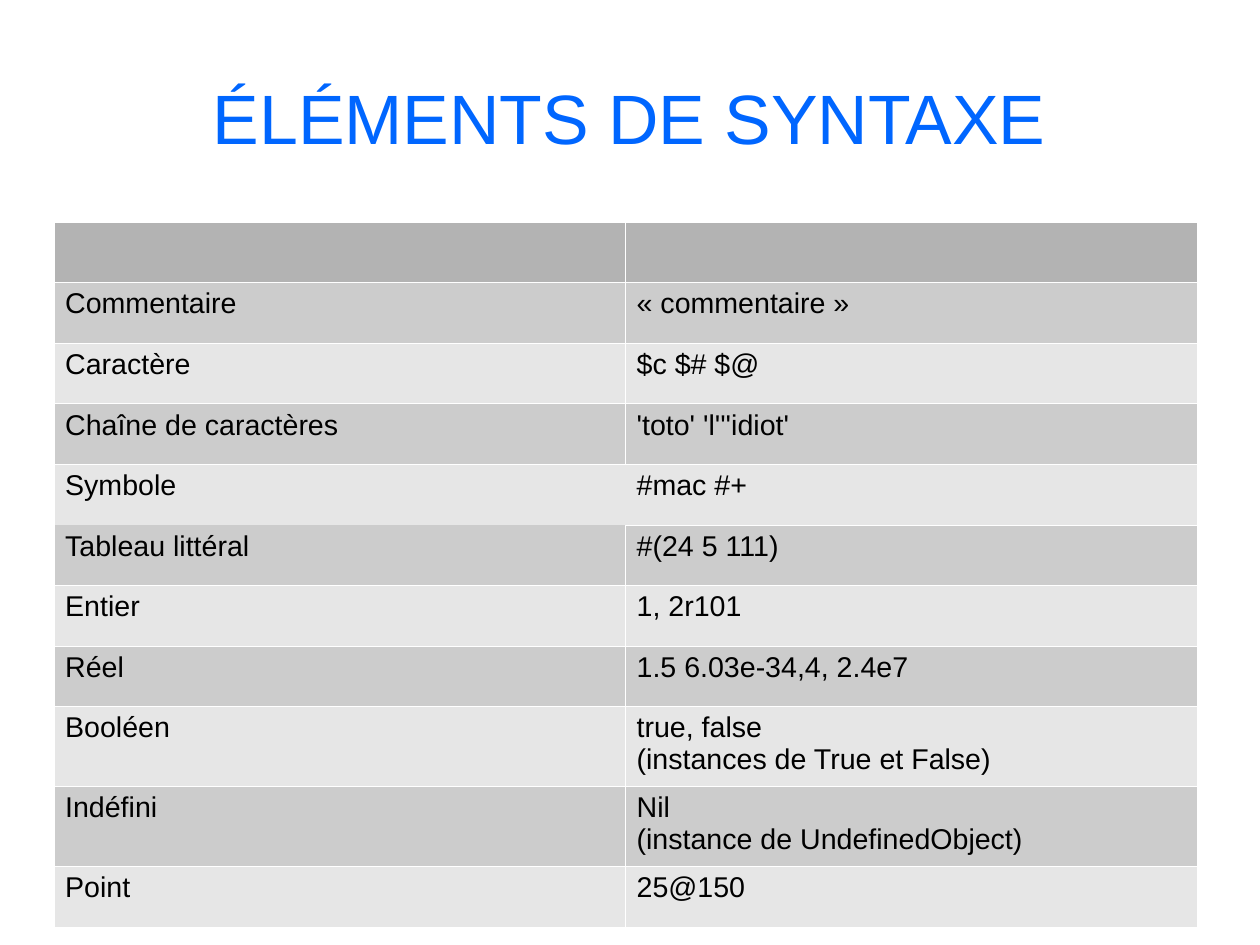
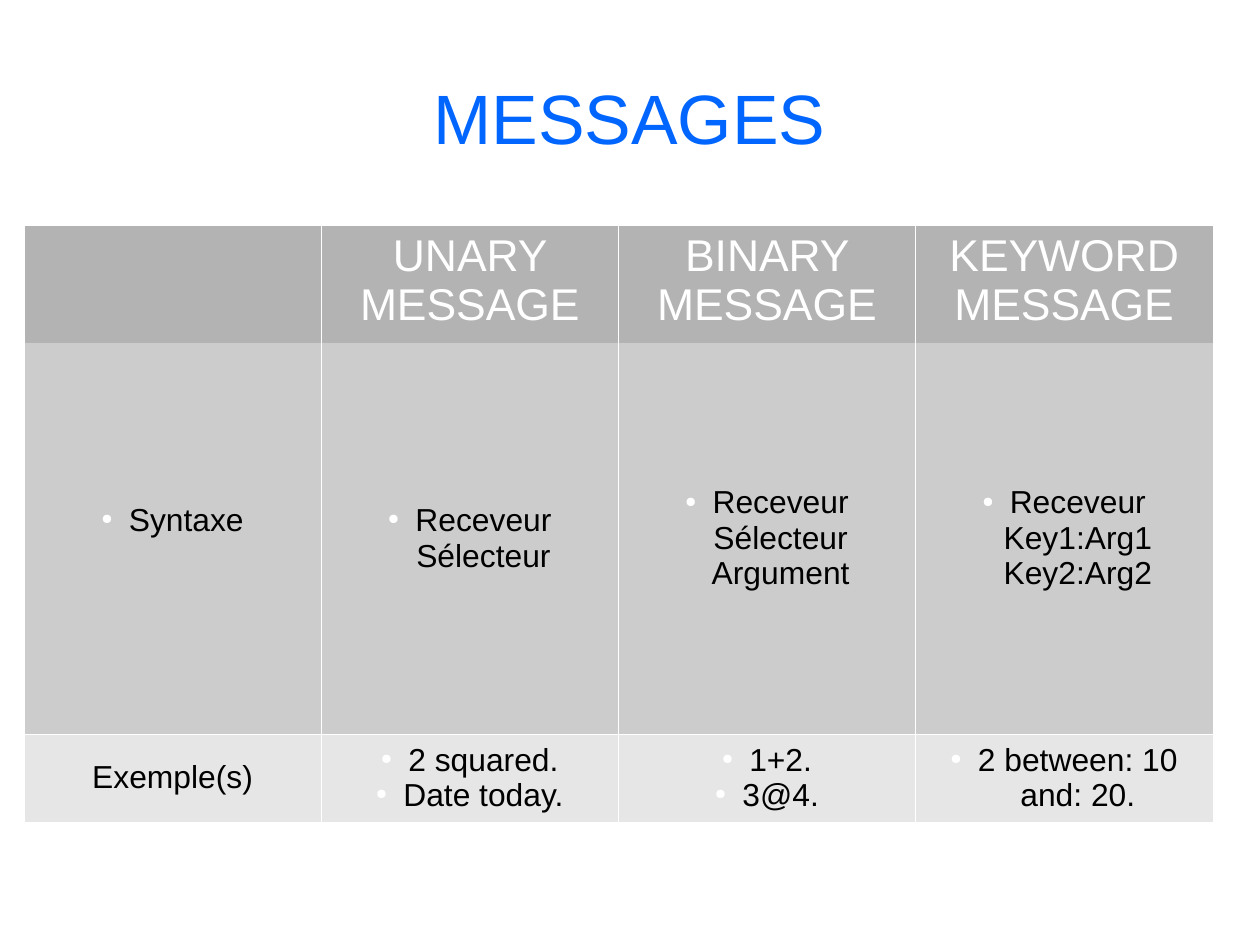
from lxml.etree import SubElement
from pptx import Presentation
from pptx.dml.color import RGBColor
from pptx.enum.text import MSO_ANCHOR, MSO_AUTO_SIZE, PP_ALIGN
from pptx.oxml.ns import qn
from pptx.util import Inches, Pt

TITLE_BLUE = RGBColor(0x00, 0x66, 0xFF)
HEADER_GREY = RGBColor(0xB3, 0xB3, 0xB3)
ODD_GREY = RGBColor(0xCC, 0xCC, 0xCC)
EVEN_GREY = RGBColor(0xE6, 0xE6, 0xE6)
WHITE = RGBColor(0xFF, 0xFF, 0xFF)
BLACK = RGBColor(0x00, 0x00, 0x00)
FONT = "Arial"
BORDER_WIDTH = Pt(0.06)

SYNTAX_ROWS = [
    ("", ""),
    ("Commentaire", "« commentaire »"),
    ("Caractère", "$c $# $@"),
    ("Chaîne de caractères", "'toto' 'l'''idiot'"),
    ("Symbole", "#mac #+"),
    ("Tableau littéral", "#(24 5 111)"),
    ("Entier", "1, 2r101"),
    ("Réel", "1.5 6.03e-34,4, 2.4e7"),
    ("Booléen", "true, false\n(instances de True et False)"),
    ("Indéfini", "Nil\n(instance de UndefinedObject)"),
    ("Point", "25@150"),
]
SYNTAX_OPEN_EDGES = {(4, 0): "RB", (4, 1): "L", (5, 0): "T"}

MESSAGE_ROWS = [
    ("", "UNARY MESSAGE", "BINARY MESSAGE", "KEYWORD MESSAGE"),
    ("Syntaxe", "Receveur Sélecteur", "Receveur Sélecteur Argument",
     "Receveur Key1:Arg1 Key2:Arg2"),
    ("Exemple(s)", "2 squared.\nDate today.", "1+2.\n3@4.", "2 between: 10 and: 20."),
]
MESSAGE_OPEN_EDGES = {(row, column): edge for row, edge in enumerate("BT") for column in range(4)}


def add_titled_page(deck, title):
    """Add a page with the shared title style."""
    page = deck.slides.add_slide(deck.slide_layouts[5])
    box = page.shapes.title
    box.left, box.top, box.width, box.height = map(Inches, (0.55, 0.33, 9.92, 1.38))
    frame = box.text_frame
    frame.margin_left = frame.margin_top = frame.margin_right = frame.margin_bottom = 0
    frame.vertical_anchor = MSO_ANCHOR.MIDDLE
    frame.word_wrap = True
    frame.auto_size = MSO_AUTO_SIZE.NONE
    add_span(frame.paragraphs[0], title, 44, TITLE_BLUE, PP_ALIGN.CENTER)
    return page


def add_span(para, text, size, color, alignment):
    """Align a paragraph and give it one formatted run."""
    para.alignment = alignment
    span = para.add_run()
    span.text = text
    span.font.name = FONT
    span.font.size = Pt(size)
    span.font.color.rgb = color


def add_bullet(para):
    """Give a paragraph a small white bullet with a hanging indent."""
    properties = para._p.get_or_add_pPr()
    properties.set("marL", str(Inches(0.24)))
    properties.set("indent", str(-Inches(0.24)))
    color = SubElement(properties, qn("a:buClr"))
    SubElement(color, qn("a:srgbClr"), val=str(WHITE))
    SubElement(properties, qn("a:buSzPct"), val="45000")
    SubElement(properties, qn("a:buChar"), char="●")


def set_borders(cell, open_edges):
    """Draw thin white cell borders except on the open edges."""
    properties = cell._tc.get_or_add_tcPr()
    for edge in "LRTB":
        line = SubElement(properties, qn(f"a:ln{edge}"), w=str(BORDER_WIDTH))
        if edge in open_edges:
            SubElement(line, qn("a:noFill"))
        else:
            fill = SubElement(line, qn("a:solidFill"))
            SubElement(fill, qn("a:srgbClr"), val=str(WHITE))


def add_grid(page, left, top, column_width, heights, rows, open_edges):
    """Add a banded table with borders and return it without text."""
    columns = len(rows[0])
    table = page.shapes.add_table(
        len(rows), columns, Inches(left), Inches(top),
        Inches(column_width * columns), Inches(sum(heights))).table
    table.first_row = table.horz_banding = False
    for column in table.columns:
        column.width = Inches(column_width)
    for row, height in enumerate(heights):
        table.rows[row].height = Inches(height)
        band = HEADER_GREY if row == 0 else (EVEN_GREY, ODD_GREY)[row % 2]
        for column in range(columns):
            cell = table.cell(row, column)
            set_borders(cell, open_edges.get((row, column), ""))
            cell.fill.solid()
            cell.fill.fore_color.rgb = band
    return table


def fill_cell(cell, text, size, color, alignment, bulleted=False):
    """Write each line of the text as a paragraph of the cell."""
    frame = cell.text_frame
    for index, line in enumerate(text.split("\n") if text else []):
        para = frame.add_paragraph() if index else frame.paragraphs[0]
        add_span(para, line, size, color, alignment)
        if bulleted:
            add_bullet(para)


def build_syntax_page(deck):
    """Build the page listing the syntax elements."""
    page = add_titled_page(deck, "ÉLÉMENTS DE SYNTAXE")
    heights = [0.7 if "\n" in example else 0.53 for _, example in SYNTAX_ROWS]
    table = add_grid(page, 0.47, 1.94, 5, heights, SYNTAX_ROWS, SYNTAX_OPEN_EDGES)
    for row, texts in enumerate(SYNTAX_ROWS):
        for column, text in enumerate(texts):
            fill_cell(table.cell(row, column), text, 18, BLACK, PP_ALIGN.LEFT)


def build_messages_page(deck):
    """Build the page comparing the kinds of message."""
    page = add_titled_page(deck, "MESSAGES")
    table = add_grid(page, 0.21, 1.97, 2.6, (1.03, 3.42, 0.77), MESSAGE_ROWS, MESSAGE_OPEN_EDGES)
    for row, texts in enumerate(MESSAGE_ROWS):
        for column, text in enumerate(texts):
            cell = table.cell(row, column)
            if row == 0:
                fill_cell(cell, text, 28, WHITE, PP_ALIGN.CENTER)
            else:
                cell.vertical_anchor = MSO_ANCHOR.MIDDLE
                fill_cell(cell, text, 20, BLACK, PP_ALIGN.CENTER, (row, column) != (2, 0))
    table.cell(1, 0).margin_bottom = Inches(0.36)


def main():
    """Build and save the deck."""
    deck = Presentation()
    deck.slide_width = Inches(28 / 2.54)
    deck.slide_height = Inches(21 / 2.54)
    build_syntax_page(deck)
    build_messages_page(deck)
    deck.save("out.pptx")


if __name__ == "__main__":
    main()
